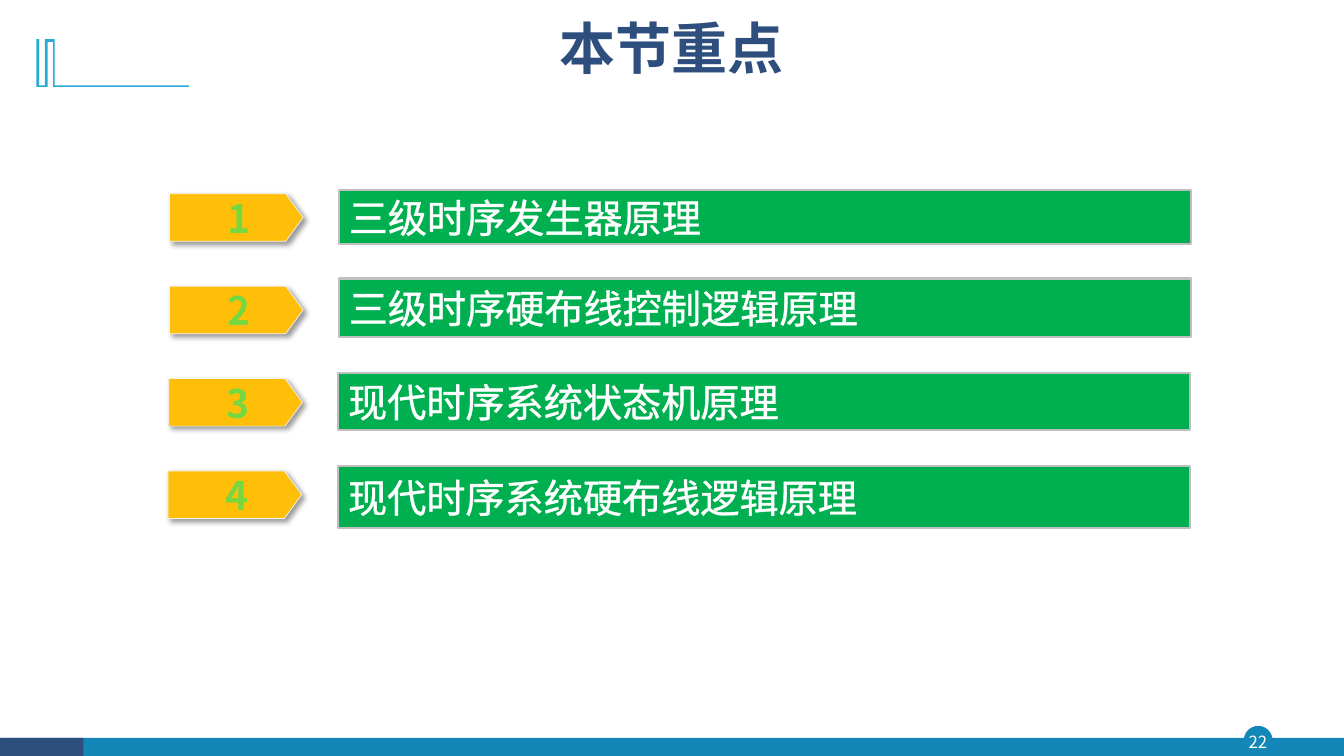
from lxml import etree
from pptx import Presentation
from pptx.dml.color import RGBColor
from pptx.enum.shapes import MSO_SHAPE
from pptx.enum.text import MSO_ANCHOR, PP_ALIGN
from pptx.oxml.ns import qn
from pptx.util import Pt

RECT, OVAL, TAG = MSO_SHAPE.RECTANGLE, MSO_SHAPE.OVAL, MSO_SHAPE.PENTAGON
MIDDLE = MSO_ANCHOR.MIDDLE
LEFT, CENTER = PP_ALIGN.LEFT, PP_ALIGN.CENTER

HUES = {
    "navy": "2E4E7E", "blue": "1387B7", "sky": "28A9D6", "green": "00B050",
    "gold": "FFBF09", "lime": "75D840", "grey": "BFBFBF", "pale": "F2F2F2",
    "white": "FFFFFF", "black": "000000",
}
FONT = "Noto Sans CJK SC"
INSET = (7.2, 3.6, 7.2, 3.6)
NONE = (0, 0, 0, 0)


def add(parent, tag, **attrs):
    return etree.SubElement(parent, qn(tag), attrs)


class Deck:
    def __init__(self, wide, high):
        self.show = Presentation()
        self.show.slide_width, self.show.slide_height = Pt(wide), Pt(high)
        self.slide = self.show.slides.add_slide(self.show.slide_layouts[6])
        self.shapes = self.slide.shapes

    def hue(self, name):
        return RGBColor.from_string(HUES[name])

    def paint(self, shape, fill, line=None, width=1):
        shape.shadow.inherit = False
        shape.fill.solid()
        shape.fill.fore_color.rgb = self.hue(fill)
        if line:
            shape.line.color.rgb = self.hue(line)
            shape.line.width = Pt(width)
        else:
            shape.line.fill.background()

    def block(self, kind, box, fill, line=None, width=1):
        shape = self.shapes.add_shape(kind, *map(Pt, box))
        self.paint(shape, fill, line, width)
        return shape

    def outline(self, points, fill):
        pen = self.shapes.build_freeform(*points[0], scale=Pt(1))
        pen.add_line_segments(points[1:], close=True)
        self.paint(pen.convert_to_shape(), fill)

    def letter(self, shape, text, size, color, align=CENTER, bold=False, inset=INSET, space=1.0):
        """Put one styled line of text in a shape and return its run properties."""
        frame = shape.text_frame
        left, top, right, bottom = map(Pt, inset)
        style = {"word_wrap": True, "vertical_anchor": MIDDLE, "margin_left": left,
                 "margin_top": top, "margin_right": right, "margin_bottom": bottom}
        for key, value in style.items():
            setattr(frame, key, value)
        para = frame.paragraphs[0]
        para.alignment, para.line_spacing = align, space
        run = para.add_run()
        run.text = text
        for key, value in {"name": FONT, "size": Pt(size), "bold": bold}.items():
            setattr(run.font, key, value)
        run.font.color.rgb = self.hue(color)
        props = run._r.get_or_add_rPr()
        props.find(qn("a:latin")).addnext(etree.Element(qn("a:ea"), typeface=FONT))
        return props

    def label(self, box, text, size, color, **style):
        self.letter(self.shapes.add_textbox(*map(Pt, box)), text, size, color, **style)

    def tag(self, box, text):
        """Add a numbered arrow tag with a soft shadow."""
        shape = self.block(TAG, box, "gold", "pale", 0.5)
        shape.adjustments[0] = 0.365
        glow = add(shape._element.spPr.find(qn("a:effectLst")), "a:outerShdw",
                   blurRad=str(Pt(4)), dist=str(Pt(3)), dir="2700000",
                   algn="tl", rotWithShape="0")
        add(add(glow, "a:srgbClr", val=HUES["black"]), "a:alpha", val="40000")
        self.letter(shape, text, 28, "lime", bold=True, inset=(10, 0, 0, 0))

    def bar(self, box, text):
        """Add a topic bar whose letters have a thin white edge."""
        shape = self.block(RECT, box, "green", "grey", 1.5)
        props = self.letter(shape, text, 28, "white", align=LEFT)
        edge = etree.Element(qn("a:ln"), w=str(Pt(0.75)))
        add(add(edge, "a:solidFill"), "a:srgbClr", val=HUES["white"])
        props.insert(0, edge)


def main():
    deck = Deck(960, 540)

    deck.block(OVAL, (889, 519, 19.5, 19.5), "blue", "blue")
    deck.block(RECT, (0.5, 527, 959.5, 13), "blue")
    deck.block(RECT, (0, 527, 59.5, 13), "navy")
    deck.label((887, 519, 23, 22), "22", 12, "white", inset=NONE)

    deck.outline([(38.9, 28.2), (38.9, 61.4), (135, 61.4), (135, 62.5), (37.5, 62.5),
                  (37.5, 29.5), (34, 29.5), (34, 62.5), (25.8, 62.5), (25.8, 28.2),
                  (28.2, 28.2), (28.2, 60.6), (31.8, 60.6), (31.8, 28.2)], "sky")
    deck.label((223, 6.5, 513.5, 60), "本节重点", 40, "navy", bold=True, space=0.9)

    topics = [  # tag left, bar left, bar top, bar height, text
        (121, 242, 136, 38, "三级时序发生器原理"),
        (121, 242, 199, 41.5, "三级时序硬布线控制逻辑原理"),
        (120.5, 241.5, 266.5, 40.5, "现代时序系统状态机原理"),
        (120, 241.5, 333, 44, "现代时序系统硬布线逻辑原理"),
    ]
    for row, (tag, left, top, high, text) in enumerate(topics):
        deck.tag((tag, 138.4 + 66 * row, 95.5, 34), str(row + 1))
        deck.bar((left, top, 608.5, high), text)

    deck.show.save("out.pptx")


if __name__ == "__main__":
    main()
